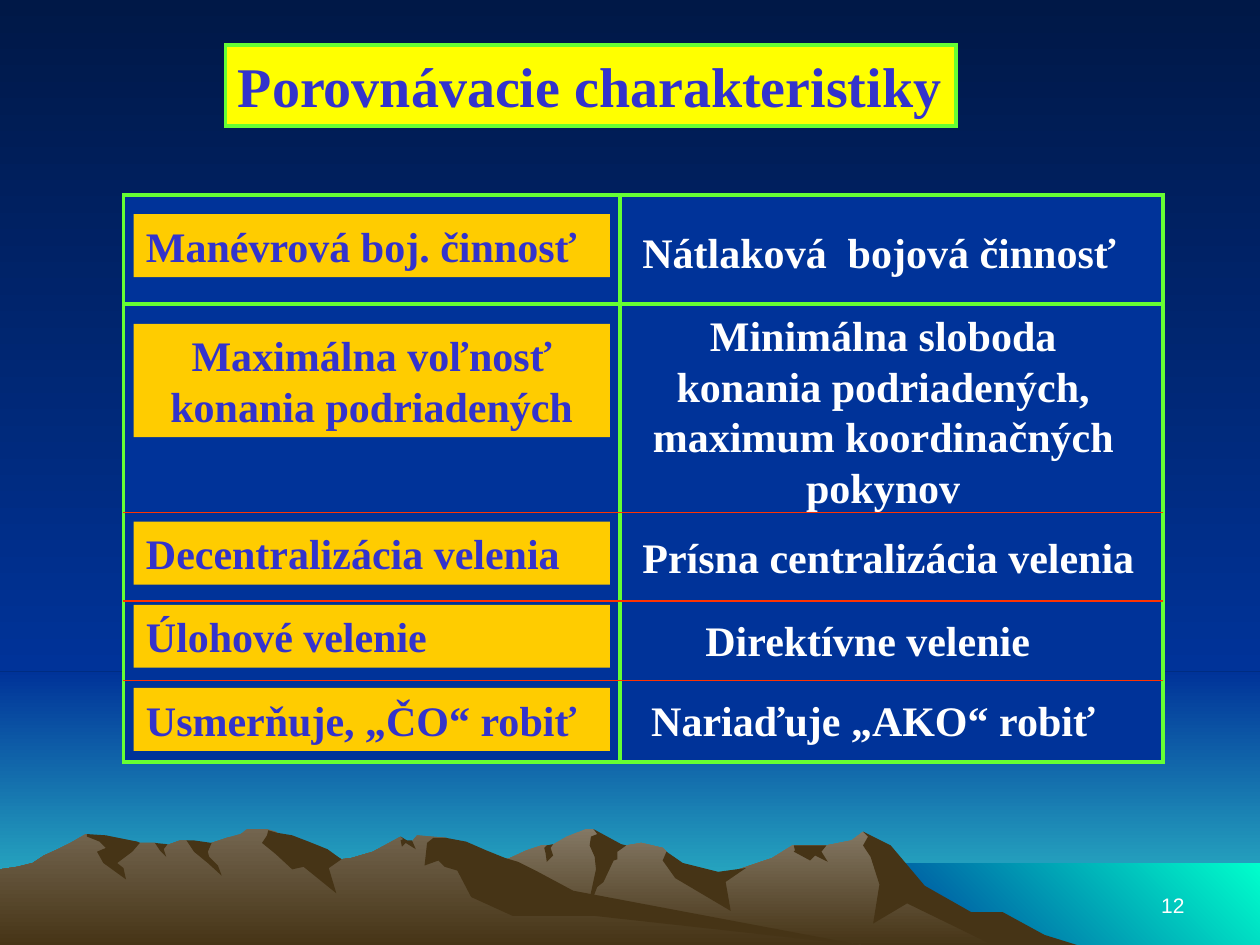
from dataclasses import dataclass

from lxml import etree
from pptx import Presentation
from pptx.dml.color import RGBColor
from pptx.enum import shapes, text
from pptx.oxml import ns
from pptx.util import Inches, Pt


@dataclass(frozen=True)
class Theme:
    night: str = "001847"
    blue: str = "003399"
    horizon: str = "33CCCC"
    water: str = "00FFCC"
    rock_light: str = "847864"
    rock_mid: str = "73654F"
    rock_dark: str = "463416"
    green: str = "66FF33"
    red: str = "FF3300"
    yellow: str = "FFFF00"
    amber: str = "FFCC00"
    ink: str = "3333CC"
    white: str = "FFFFFF"
    serif: str = "Times New Roman"
    sans: str = "Arial"
    title: int = 32
    body: int = 24
    small: int = 12
    thick: float = 2.25
    thin: float = 0.75


T = Theme()
LEFT, CENTER, RIGHT = text.PP_ALIGN.LEFT, text.PP_ALIGN.CENTER, text.PP_ALIGN.RIGHT

# Mountain outlines, in hundredths of an inch from the landscape's corner
RIGHT_RANGE = [
    (802, 740), (778, 727), (764, 723), (723, 698), (702, 671), (685, 660), (676, 667),
    (656, 671), (629, 671), (613, 681), (566, 697), (536, 690), (529, 676), (526, 673),
    (509, 669), (486, 673), (474, 661), (471, 658), (465, 658), (450, 664), (438, 671),
    (430, 671), (418, 675), (405, 681), (394, 685), (355, 698), (327, 709), (277, 739),
    (258, 751), (821, 751)]
RIGHT_SHADOWS = [
    [(796, 724), (771, 724), (734, 703), (707, 671), (685, 660), (689, 664), (685, 671),
     (691, 680), (698, 702), (693, 733), (720, 717), (792, 752), (858, 751), (829, 742)],
    [(471, 658), (474, 662), (469, 664), (468, 671), (472, 680), (473, 690), (465, 727),
     (474, 704), (479, 700), (487, 683), (490, 682), (490, 676), (497, 671), (493, 670)],
    [(529, 676), (526, 683), (536, 697), (580, 723), (576, 700), (592, 689), (570, 692),
     (542, 685)],
    [(650, 671), (630, 671), (631, 675), (630, 676), (643, 683), (647, 679), (657, 684),
     (652, 676), (656, 671)],
    [(433, 677), (432, 673), (434, 671), (439, 670), (437, 673), (439, 679), (434, 684)]]
LEFT_RANGE = [
    (690, 751), (667, 748), (432, 712), (354, 665), (331, 663), (327, 668), (323, 668),
    (318, 664), (296, 676), (279, 681), (271, 682), (260, 676), (236, 681), (223, 663),
    (219, 660), (212, 658), (196, 658), (191, 662), (180, 665), (168, 669), (160, 671),
    (148, 667), (143, 667), (132, 671), (128, 671), (123, 669), (111, 669), (94, 671),
    (68, 662), (56, 669), (46, 674), (35, 679), (26, 685), (14, 688), (0, 690), (0, 751)]
LEFT_SHADOWS = [
    [(212, 663), (208, 669), (219, 678), (232, 690), (241, 688), (267, 709), (261, 689),
     (271, 682), (260, 674), (245, 668), (232, 663), (220, 661), (213, 659)],
    [(370, 668), (354, 665), (344, 665), (339, 669), (337, 687), (348, 683), (353, 688),
     (363, 691), (374, 712), (407, 727), (472, 727), (690, 751), (683, 750), (455, 707),
     (427, 692), (411, 684), (401, 681), (386, 675)],
    [(318, 667), (320, 666), (318, 664), (323, 667), (327, 667), (330, 674), (322, 669),
     (319, 672)],
    [(154, 667), (168, 669), (165, 676), (166, 680), (173, 687), (176, 695), (165, 685),
     (154, 676), (148, 667)],
    [(133, 670), (130, 674), (132, 680), (127, 675), (123, 669)],
    [(109, 668), (111, 669), (105, 676), (93, 685), (98, 689), (100, 698), (82, 685),
     (77, 676), (84, 673), (79, 668), (69, 664), (69, 662), (84, 663), (94, 665)]]


def rgb(code):
    return RGBColor.from_string(code)


def paint(fill, colors, clockwise=90):
    """One colour gives a solid fill, two give a linear gradient."""
    if len(colors) == 1:
        fill.solid()
        fill.fore_color.rgb = rgb(colors[0])
        return
    fill.gradient()
    fill.gradient_angle = 360 - clockwise
    for stop, color, position in zip(fill.gradient_stops, colors, (0, 1)):
        stop.color.rgb = rgb(color)
        stop.position = position


def style(sp, *colors, clockwise=90, line=None):
    sp.shadow.inherit = False
    paint(sp.fill, colors, clockwise)
    if line:
        sp.line.color.rgb, sp.line.width = rgb(line), Pt(T.thick)
        # Square corners
        etree.SubElement(sp.line._get_or_add_ln(), ns.qn("a:miter"), lim="800000")
    else:
        sp.line.fill.background()
    return sp


def add_rect(s, x, y, w, h):
    return s.shapes.add_shape(shapes.MSO_SHAPE.RECTANGLE,
                              Inches(x), Inches(y), Inches(w), Inches(h))


def add_text(s, x, y, w, h):
    return s.shapes.add_textbox(Inches(x), Inches(y), Inches(w), Inches(h))


def add_rule(s, x1, y1, x2, y2, color, width):
    line = s.shapes.add_connector(shapes.MSO_CONNECTOR.STRAIGHT,
                                  Inches(x1), Inches(y1), Inches(x2), Inches(y2))
    line.line.color.rgb, line.line.width = rgb(color), Pt(width)
    etree.SubElement(line._element.spPr, ns.qn("a:effectLst"))


def write(sp, words, size, color, font=T.serif, bold=True, align=LEFT, wrap=True,
          anchor=text.MSO_ANCHOR.TOP):
    tf = sp.text_frame
    tf.text = words
    tf.word_wrap, tf.vertical_anchor = wrap, anchor
    for p in tf.paragraphs:
        p.alignment = align
        for r in p.runs:
            r.font.name, r.font.size, r.font.bold = font, Pt(size), bold
            r.font.color.rgb = rgb(color)


def add_landscape(s, x, y, w, h):
    """Sky, water and two mountain ranges."""
    horizon = 5.33
    style(add_rect(s, x, y + horizon, w, h - horizon), T.blue, T.horizon)
    style(add_rect(s, x, y, w, horizon), T.night, T.blue)
    style(add_rect(s, x + 6.83, y + 6.85, w - 6.83, h - 6.85), T.blue, T.water, clockwise=315)

    def add_outline(points, *colors):
        outline = s.shapes.build_freeform(*points[0], scale=Inches(0.01))
        outline.add_line_segments(points[1:])
        style(outline.convert_to_shape(Inches(x), Inches(y)), *colors)

    for ridge, light, shadows in ((RIGHT_RANGE, T.rock_light, RIGHT_SHADOWS),
                                  (LEFT_RANGE, T.rock_mid, LEFT_SHADOWS)):
        add_outline(ridge, light, T.rock_dark)
        for shadow in shadows:
            add_outline(shadow, T.rock_dark)


def add_comparison(s, x, y, w, h):
    """Framed two-column comparison with amber labels on the left."""
    split, header = 3.94, 0.86
    style(add_rect(s, x, y, w, h), T.blue, line=T.green)
    add_rule(s, x, y + header, x + w, y + header, T.green, T.thick)
    add_rule(s, x + split, y, x + split, y + h, T.green, T.thick)
    for offset in (2.52, 3.22, 3.85):
        add_rule(s, x, y + offset, x + w, y + offset, T.red, T.thin)

    # left: words, top, height; right: words, left, top, width, height, wrap
    rows = [
        (("Manévrová boj. činnosť", 0.15, 0.5),
         ("Nátlaková  bojová činnosť", 4.02, 0.2, 4.22, 0.5, True)),
        (("Maximálna voľnosť\nkonania podriadených", 1.02, 0.9),
         ("Minimálna sloboda\nkonania podriadených,\nmaximum koordinačných\npokynov",
          4.1, 0.86, 3.86, 1.7, False)),
        (("Decentralizácia velenia", 2.59, 0.5),
         ("Prísna centralizácia velenia", 4.02, 2.62, 4.22, 0.5, True)),
        (("Úlohové velenie", 3.25, 0.5),
         ("Direktívne velenie", 4.52, 3.28, 3.42, 0.5, True)),
        (("Usmerňuje, „ČO“ robiť", 3.91, 0.5),
         ("Nariaďuje „AKO“ robiť", 4.09, 3.91, 3.73, 0.5, False)),
    ]
    for (label, top, height), (answer, left, a_top, width, a_height, wrap) in rows:
        align = CENTER if "\n" in label else LEFT
        tag = style(add_rect(s, x + 0.08, y + top, 3.78, height), T.amber)
        write(tag, label, T.body, T.ink, align=align)
        write(add_text(s, x + left, y + a_top, width, a_height),
              answer, T.body, T.white, align=align, wrap=wrap)


def add_title(s, x, y, w, h):
    banner = style(add_rect(s, x, y, w, h), T.yellow, line=T.green)
    write(banner, "Porovnávacie charakteristiky", T.title, T.ink, wrap=False)


def add_page_number(s, x, y, w, h):
    write(add_text(s, x, y, w, h), "12", T.small, T.white, font=T.sans, bold=False,
          align=RIGHT, anchor=text.MSO_ANCHOR.BOTTOM)


def main():
    prs = Presentation()
    prs.slide_width, prs.slide_height = Inches(10), Inches(7.5)
    s = prs.slides.add_slide(prs.slide_layouts[6])
    paint(s.background.fill, (T.night, T.blue))
    add_landscape(s, 0, 0, 10, 7.5)
    add_comparison(s, 0.98, 1.55, 8.25, 4.5)
    add_title(s, 1.79, 0.36, 5.8, 0.64)
    add_page_number(s, 7.17, 6.83, 2.33, 0.5)
    prs.save("out.pptx")


if __name__ == "__main__":
    main()
